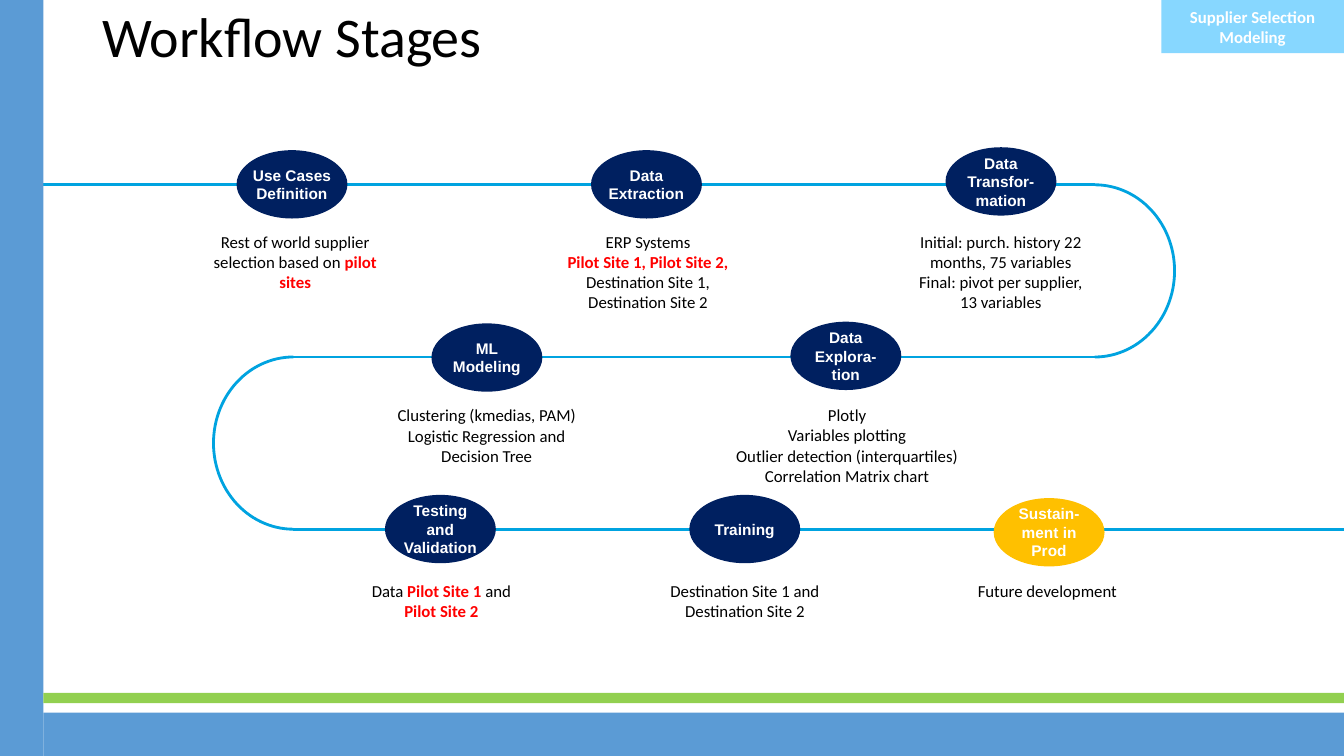
"""Build the Workflow Stages slide: a winding track with eight stages and their notes."""
from math import cos, pi, sin

from lxml import etree
from pptx import Presentation
from pptx.dml.color import RGBColor
from pptx.enum.shapes import MSO_CONNECTOR, MSO_SHAPE
from pptx.enum.text import MSO_ANCHOR, PP_ALIGN
from pptx.oxml.ns import qn
from pptx.util import Pt

RECT, OVAL = MSO_SHAPE.RECTANGLE, MSO_SHAPE.OVAL
LINE = MSO_CONNECTOR.STRAIGHT
MIDDLE = MSO_ANCHOR.MIDDLE
LEFT, CENTER = PP_ALIGN.LEFT, PP_ALIGN.CENTER
BLUE, GREEN, SKY = "5B9BD5", "92D050", "81D5FF"
NAVY, GOLD, TRACK = "002060", "FFC000", "00A3E0"
BLACK, WHITE, RED = "000000", "FFFFFF", "FF0000"


def ink(color, code):
    color.rgb = RGBColor.from_string(code)


def write(frame, text, font, size, code, bold=False, align=CENTER):
    """Write one paragraph per line; pieces between bars are red and bold."""
    frame.word_wrap = True
    for row, line in enumerate(text.split("\n")):
        para = frame.add_paragraph() if row else frame.paragraphs[0]
        para.alignment = align
        for place, piece in enumerate(line.split("|")):
            if piece:
                mark = place % 2 == 1
                run = para.add_run()
                run.text = piece
                run.font.name = font
                run.font.size = Pt(size)
                run.font.bold = bold or mark
                ink(run.font.color, RED if mark else code)


deck = Presentation()
deck.slide_width, deck.slide_height = Pt(960), Pt(540)
slide = deck.slides.add_slide(deck.slide_layouts[6])
shapes = slide.shapes

EDGE, WEST, EAST = 31, 209.5, 782
TOP, STEP, BEND = 132, 123, 57
rows = [TOP + STEP * n for n in range(3)]

tracks = []
for start, end, y in zip((EDGE, WEST, WEST), (EAST, EAST, 960), rows):
    track = shapes.add_connector(LINE, Pt(start), Pt(y), Pt(end), Pt(y))
    etree.SubElement(track._element.spPr, qn("a:effectLst"))
    tracks.append(track)

for x, y, side in ((EAST, rows[0], 1), (WEST, rows[1], -1)):
    turns = [pi * n / 60 for n in range(61)]
    dots = [(Pt(x + side * BEND * sin(t)), Pt(y + STEP / 2 * (1 - cos(t))))
            for t in turns]
    path = shapes.build_freeform(*dots[0])
    path.add_line_segments(dots[1:], close=False)
    bend = path.convert_to_shape()
    bend.fill.background()
    bend.shadow.inherit = False
    tracks.append(bend)

for track in tracks:
    ink(track.line.color, TRACK)
    track.line.width = Pt(2)

blocks = [
    (RECT, 0, 0, EDGE, 540, BLUE, ""),
    (RECT, EDGE, 509, 960 - EDGE, EDGE, BLUE, ""),
    (RECT, EDGE, 495, 960 - EDGE, 7.2, GREEN, ""),
    (RECT, 829.5, 0, 130.5, 38, SKY, "Supplier Selection Modeling"),
]
stages = [
    (169, 107.3, NAVY, "Use Cases Definition"),
    (422.2, 107.3, NAVY, "Data Extraction"),
    (675.4, 105.2, NAVY, "Data Transfor-mation"),
    (564.6, 229.8, NAVY, "Data Explora- tion"),
    (308.2, 231, NAVY, "ML Modeling"),
    (275, 353.5, NAVY, "Testing and Validation"),
    (492.4, 353.5, NAVY, "Training"),
    (709.8, 355.8, GOLD, "Sustain-\nment in Prod"),
]
blocks += [(OVAL, x, y, 79.2, 48.8, code, text) for x, y, code, text in stages]

for kind, x, y, wide, high, code, text in blocks:
    block = shapes.add_shape(kind, Pt(x), Pt(y), Pt(wide), Pt(high))
    block.shadow.inherit = False
    block.fill.solid()
    ink(block.fill.fore_color, code)
    block.line.fill.background()
    if code == SKY:
        tint = block._element.spPr.find(".//" + qn("a:srgbClr"))
        etree.SubElement(tint, qn("a:alpha"), val="95000")
    if text:
        frame = block.text_frame
        frame.margin_left = frame.margin_right = 0
        frame.margin_top = frame.margin_bottom = 0
        frame.vertical_anchor = MIDDLE
        font, size = ("Arial", 11) if kind == OVAL else ("Calibri", 12)
        write(frame, text, font, size, WHITE, True)

notes = [
    (138.2, 162, 145.4, 3, "Rest of world supplier selection based on |pilot sites|"),
    (390.2, 162, 145.4, 4, "ERP Systems\n|Pilot Site 1, Pilot Site 2, |"
                           "Destination Site 1, Destination Site 2"),
    (642.2, 162, 145.4, 4, "Initial: purch. history 22 months, 75 variables\n"
                           "Final: pivot per supplier, 13 variables"),
    (501.1, 285.8, 208, 4, "Plotly\nVariables plotting\n"
                           "Outlier detection (interquartiles)\n"
                           "Correlation Matrix chart"),
    (275, 285.8, 145.4, 3, "Clustering (kmedias, PAM)\n"
                           "Logistic Regression and Decision Tree"),
    (242.6, 411.1, 145.4, 2, "Data |Pilot Site 1 |and\n|Pilot Site 2|"),
    (459.4, 411.1, 145.4, 2, "Destination Site 1 and\nDestination Site 2"),
    (676.8, 411.1, 145.4, 1, "Future development "),
]
for x, y, wide, lines, text in notes:
    note = shapes.add_textbox(Pt(x), Pt(y), Pt(wide), Pt(7.2 + 14.6 * lines))
    write(note.text_frame, text, "Calibri", 12, BLACK)

title = shapes.add_textbox(Pt(66), Pt(3), Pt(828), Pt(56))
write(title.text_frame, "Workflow Stages", "Calibri", 40, BLACK, align=LEFT)
title.text_frame.paragraphs[0].line_spacing = 0.9

deck.save("out.pptx")
